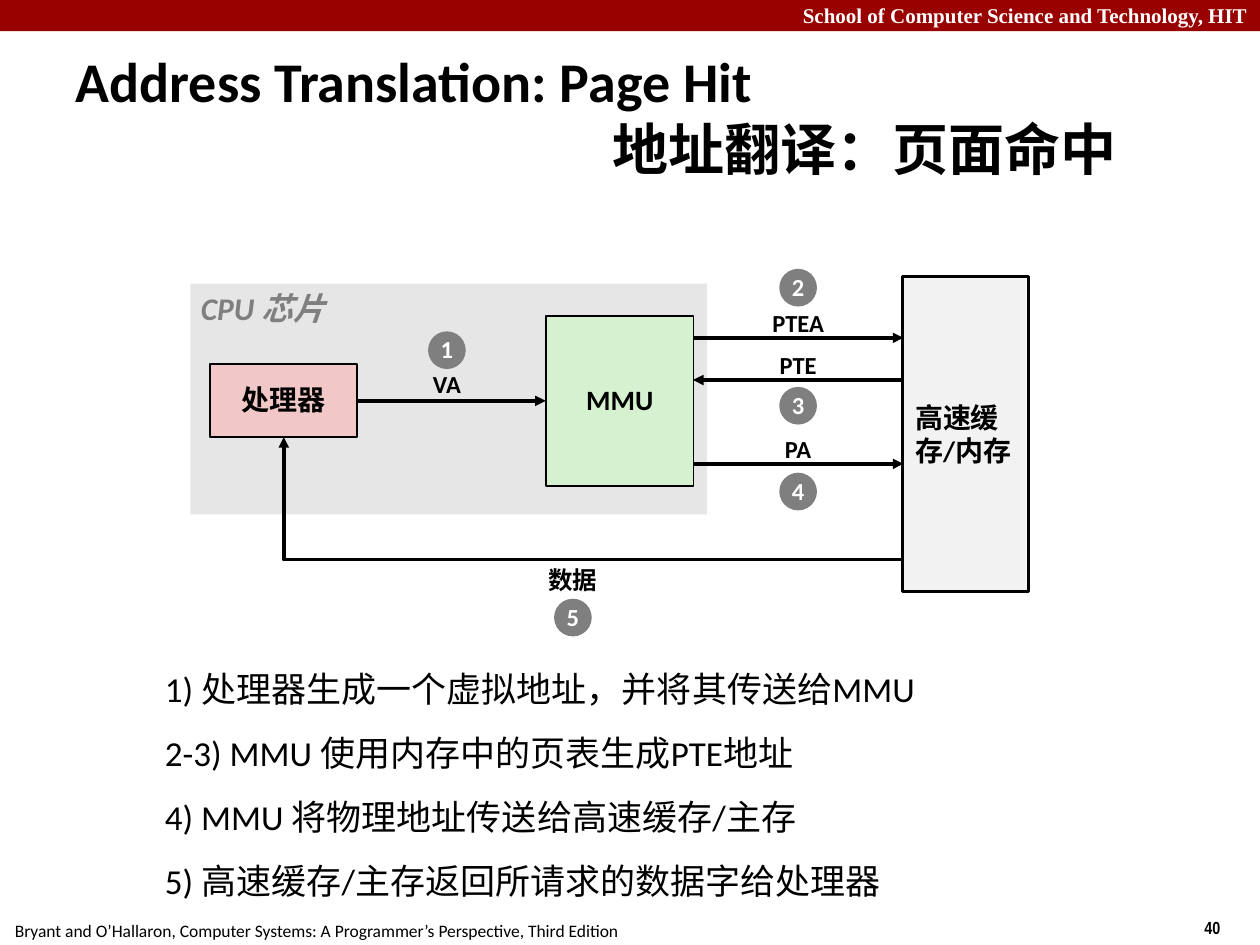
from dataclasses import dataclass
from typing import Optional

from lxml.etree import SubElement
from pptx import Presentation
from pptx.dml.color import RGBColor
from pptx.enum.shapes import MSO_CONNECTOR as Connector, MSO_SHAPE as Preset
from pptx.enum.text import MSO_ANCHOR as Anchor, MSO_AUTO_SIZE as AutoSize, PP_ALIGN as Align
from pptx.oxml.ns import qn
from pptx.util import Cm, Pt

BLACK = RGBColor(0x00, 0x00, 0x00)
WHITE = RGBColor(0xFF, 0xFF, 0xFF)
GRAY = RGBColor(0x7F, 0x7F, 0x7F)
CRIMSON = RGBColor(0x99, 0x00, 0x00)
CHIP_GRAY = RGBColor(0xE6, 0xE6, 0xE6)
MEMORY_GRAY = RGBColor(0xF2, 0xF2, 0xF2)
MMU_GREEN = RGBColor(0xD5, 0xF1, 0xCF)
PROCESSOR_PINK = RGBColor(0xF1, 0xC7, 0xC7)

BADGE_SIZE = 0.76
LABEL_HEIGHT = 0.84
DIAGRAM_SPACING = 0.98


@dataclass
class TextStyle:
    size: float
    color: RGBColor = BLACK
    name: str = "Calibri"
    bold: bool = True
    italic: bool = False
    align: Align = Align.LEFT
    spacing: float = 1.0


@dataclass
class Block:
    """A rectangle of the diagram, in centimetres."""
    left: float
    top: float
    width: float
    height: float
    fill: RGBColor
    lines: tuple[str, ...] = ()
    line_width: Optional[float] = None
    align: Align = Align.CENTER
    spacing: float = DIAGRAM_SPACING


@dataclass
class Step:
    """A numbered badge and its label, both centred on one x position."""
    number: int
    label: str
    center: float
    badge_top: float
    label_top: float
    label_width: float


BLOCKS = [
    Block(3.84, 5.72, 10.41, 4.65, CHIP_GRAY),
    Block(11.01, 6.37, 2.97, 3.43, MMU_GREEN, ("MMU",), 1),
    Block(18.2, 5.57, 2.54, 6.35, MEMORY_GRAY, ("高速缓", "存/内存"), 1.5, Align.LEFT, 1.0),
    Block(4.23, 7.34, 2.97, 1.47, PROCESSOR_PINK, ("处理器",), 1),
]
STEPS = [
    Step(1, "VA", 9.01, 6.68, 7.34, 1.15),
    Step(2, "PTEA", 16.09, 5.42, 6.1, 1.6),
    Step(3, "PTE", 16.09, 7.8, 6.96, 1.4),
    Step(4, "PA", 16.09, 9.53, 8.64, 1.15),
    Step(5, "数据", 11.55, 12.07, 11.28, 1.55),
]
# Start x, end x and y of each straight arrow
ARROWS = [(7.21, 11.0, 8.08), (13.97, 18.21, 6.81), (18.21, 13.97, 7.66), (13.97, 18.21, 9.35)]
EXPLANATION = (
    "1) 处理器生成一个虚拟地址，并将其传送给MMU",
    "2-3) MMU 使用内存中的页表生成PTE地址",
    "4) MMU 将物理地址传送给高速缓存/主存",
    "5) 高速缓存/主存返回所请求的数据字给处理器",
)


def write(frame, lines: tuple[str, ...], style: TextStyle) -> None:
    for index, line in enumerate(lines):
        paragraph = frame.paragraphs[0] if index == 0 else frame.add_paragraph()
        paragraph.text = line
        paragraph.alignment = style.align
        paragraph.line_spacing = style.spacing
        font = paragraph.runs[0].font
        values = {"name": style.name, "size": Pt(style.size),
                  "bold": style.bold, "italic": style.italic}
        for attribute, value in values.items():
            setattr(font, attribute, value)
        font.color.rgb = style.color


def add_text(slide, left: float, top: float, width: float, height: float, text: str,
             style: TextStyle, wrap: bool = False, anchor: Anchor = Anchor.TOP) -> None:
    box = slide.shapes.add_textbox(Cm(left), Cm(top), Cm(width), Cm(height))
    frame = box.text_frame
    frame.word_wrap, frame.vertical_anchor = wrap, anchor
    frame.auto_size = AutoSize.SHAPE_TO_FIT_TEXT
    write(frame, (text,), style)


def add_filled(slide, preset: Preset, left: float, top: float, width: float, height: float,
               fill: RGBColor, line_width: Optional[float] = None):
    shape = slide.shapes.add_shape(preset, Cm(left), Cm(top), Cm(width), Cm(height))
    shape.shadow.inherit = False
    shape.fill.solid()
    shape.fill.fore_color.rgb = fill
    if line_width is None:
        shape.line.fill.background()
    else:
        shape.line.color.rgb = BLACK
        shape.line.width = Pt(line_width)
    shape.text_frame.word_wrap = False
    shape.text_frame.vertical_anchor = Anchor.MIDDLE
    return shape


def add_block(slide, block: Block) -> None:
    shape = add_filled(slide, Preset.RECTANGLE, block.left, block.top, block.width,
                       block.height, block.fill, block.line_width)
    write(shape.text_frame, block.lines,
          TextStyle(16, align=block.align, spacing=block.spacing))


def add_step(slide, step: Step) -> None:
    centered = {"align": Align.CENTER, "spacing": DIAGRAM_SPACING}
    add_text(slide, step.center - step.label_width / 2, step.label_top, step.label_width,
             LABEL_HEIGHT, step.label, TextStyle(14, **centered), anchor=Anchor.MIDDLE)
    badge = add_filled(slide, Preset.OVAL, step.center - BADGE_SIZE / 2, step.badge_top,
                       BADGE_SIZE, BADGE_SIZE, GRAY)
    write(badge.text_frame, (str(step.number),), TextStyle(14, WHITE, **centered))


def add_arrow(slide, kind: Connector, x1: float, y1: float, x2: float, y2: float):
    arrow = slide.shapes.add_connector(kind, Cm(x1), Cm(y1), Cm(x2), Cm(y2))
    arrow.line.color.rgb = BLACK
    arrow.line.width = Pt(2)
    SubElement(arrow.line._get_or_add_ln(), qn("a:tailEnd"), type="triangle")
    SubElement(arrow._element.spPr, qn("a:effectLst"))
    return arrow


def fill_placeholder(placeholder, position: tuple[float, ...], lines: tuple[str, ...],
                     style: TextStyle, anchor: Anchor) -> None:
    for attribute, value in zip(("left", "top", "width", "height"), position):
        setattr(placeholder, attribute, Cm(value))
    frame = placeholder.text_frame
    frame.auto_size, frame.vertical_anchor, frame.word_wrap = AutoSize.NONE, anchor, True
    write(frame, lines, style)


def main() -> None:
    presentation = Presentation()
    presentation.slide_width, presentation.slide_height = Cm(25.4), Cm(19.05)
    slide = presentation.slides.add_slide(presentation.slide_layouts[1])
    title, body = slide.placeholders

    # Header and footer
    add_filled(slide, Preset.RECTANGLE, 0, 0, 25.4, 0.63, CRIMSON)
    add_text(slide, 0, -0.08, 25.4, 0.77, "School of Computer Science and Technology, HIT",
             TextStyle(12, WHITE, "Times New Roman", align=Align.RIGHT), wrap=True)
    add_text(slide, 24.03, 18.36, 1.9, 0.69, "40", TextStyle(10, name="Arial Narrow"))
    add_text(slide, 0.05, 18.42, 12.73, 0.69,
             "Bryant and O’Hallaron, Computer Systems: A Programmer’s Perspective, Third Edition",
             TextStyle(10, bold=False))

    # Title, with the translation indented on its own line
    fill_placeholder(title, (1.27, 1.21, 24.2, 2.18),
                     ("Address Translation: Page Hit", "地址翻译：页面命中"),
                     TextStyle(32), Anchor.MIDDLE)
    title.text_frame.paragraphs[1]._p.get_or_add_pPr().set("marL", str(Cm(10.83)))

    # Explanation of the steps
    fill_placeholder(body, (3.07, 13.33, 18.85, 5.2), EXPLANATION,
                     TextStyle(20, bold=False), Anchor.TOP)
    for index, paragraph in enumerate(body.text_frame.paragraphs):
        paragraph.space_before = Pt(12.5 if index else 0)
        properties = paragraph._p.get_or_add_pPr()
        properties.set("marL", str(Cm(0.95)))
        properties.set("indent", str(Cm(-0.95)))
        SubElement(properties, qn("a:buNone"))

    # Diagram blocks
    for block in BLOCKS:
        add_block(slide, block)
    add_text(slide, 3.8, 5.71, 3.15, 1.02, "CPU 芯片", TextStyle(18, GRAY, italic=True))

    # Arrows; the data path turns one corner on its way back to the processor
    for start, end, y in ARROWS:
        add_arrow(slide, Connector.STRAIGHT, start, y, end, y)
    data_path = add_arrow(slide, Connector.ELBOW, 5.72, 8.81, 18.21, 11.28)
    properties = data_path._element.spPr
    properties.find(qn("a:prstGeom")).set("prst", "bentConnector2")
    properties.find(qn("a:xfrm")).set("rot", str(180 * 60000))

    # Numbered steps
    for step in STEPS:
        add_step(slide, step)

    presentation.save("out.pptx")


if __name__ == "__main__":
    main()
